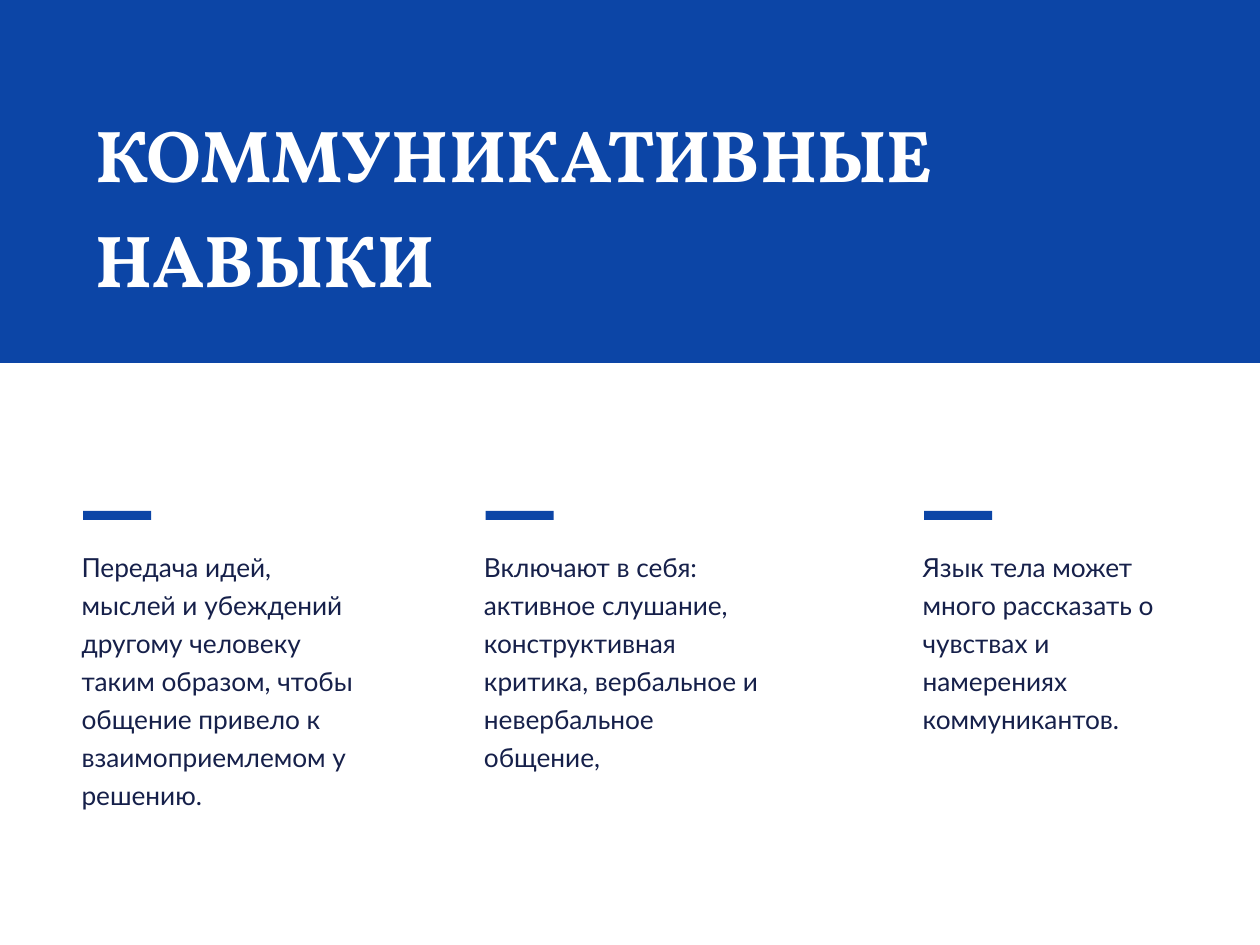
"""Builds a slide on communication skills: a title band over three columns."""
from pptx import Presentation
from pptx.dml.color import RGBColor as Rgb
from pptx.enum.shapes import MSO_SHAPE as Shape
from pptx.enum.text import MSO_ANCHOR as Anchor, MSO_AUTO_SIZE as Fit, PP_ALIGN as Align
from pptx.util import Inches, Pt

BLUE, NAVY, WHITE = "0C45A6", "16204A", "FFFFFF"


def write(box, text, size, font, color, bold=False, space=1.21, top=0.01):
    frame = box.text_frame
    frame.word_wrap = True
    frame.auto_size = Fit.SHAPE_TO_FIT_TEXT
    frame.vertical_anchor = Anchor.TOP
    frame.margin_left = frame.margin_right = frame.margin_bottom = 0
    frame.margin_top = Inches(top)
    par = frame.paragraphs[0]
    par.alignment = Align.LEFT
    par.line_spacing = space
    par._p.get_or_add_pPr().set("marL", str(Inches(0.01)))
    run = par.add_run()
    run.text = text
    run.font.size, run.font.name, run.font.bold = Pt(size), font, bold
    run.font.color.rgb = Rgb.from_string(color)


def block(left, top, width, height):
    bar = slide.shapes.add_shape(
        Shape.RECTANGLE, Inches(left), Inches(top), Inches(width), Inches(height))
    bar.shadow.inherit = False
    bar.fill.solid()
    bar.fill.fore_color.rgb = Rgb.from_string(BLUE)
    bar.line.fill.background()
    return bar


deck = Presentation()
deck.slide_width, deck.slide_height = Inches(8.33), Inches(6.25)
slide = deck.slides.add_slide(deck.slide_layouts[5])

title = slide.shapes.title
title.left, title.top = Inches(0.62), Inches(0.58)
title.width, title.height = Inches(7.1), Inches(1.19)
write(title, "КОММУНИКАТИВНЫЕ НАВЫКИ", 35, "Vollkorn", WHITE,
      bold=True, space=1.19, top=0.03)

band = block(0, 0, 8.33, 2.4)
title.element.addprevious(band.element)

columns = [
    (0.55, 1.9, 2.04, "Передача идей, мыслей и убеждений другому человеку таким "
     "образом, чтобы общение привело к взаимоприемлемом у решению."),
    (3.21, 1.94, 1.54, "Включают в себя: активное слушание, конструктивная критика, "
     "вербальное и невербальное общение,"),
    (6.11, 1.78, 1.29, "Язык тела может много рассказать о чувствах и намерениях "
     "коммуникантов."),
]
for left, width, height, text in columns:
    block(left, 3.38, 0.45, 0.06)
    box = slide.shapes.add_textbox(
        Inches(left - 0.02), Inches(3.59), Inches(width), Inches(height))
    write(box, text, 12.5, "Lato", NAVY)

deck.save("out.pptx")
